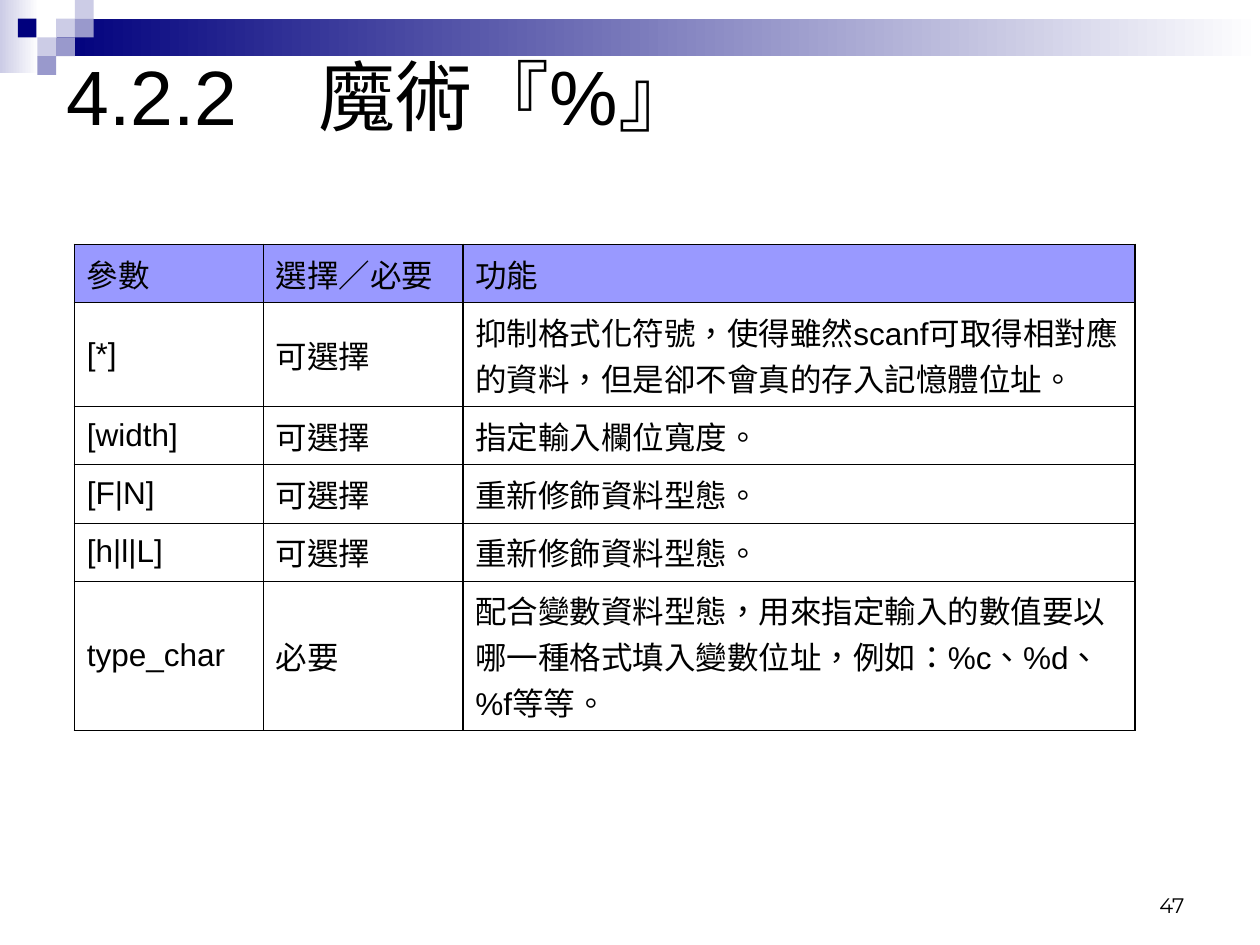
from lxml.etree import SubElement
from pptx import Presentation
from pptx.dml.color import RGBColor
from pptx.enum.shapes import MSO_SHAPE as Shape
from pptx.enum.text import MSO_ANCHOR as Anchor, PP_ALIGN as Align
from pptx.oxml.ns import qn
from pptx.util import Pt

BLACK, NAVY, LILAC, PALE = "000000", "00007D", "9999CC", "CCCCE6"
WHITE, HEADER = "FFFFFF", "9999FF"
THIN, THICK = 0.45, 1.08

ROWS = [
    ("參數", "選擇／必要", "功能"),
    ("[*]", "可選擇", "抑制格式化符號，使得雖然scanf可取得相對應的資料，但是卻不會真的存入記憶體位址。"),
    ("[width]", "可選擇", "指定輸入欄位寬度。"),
    ("[F|N]", "可選擇", "重新修飾資料型態。"),
    ("[h|l|L]", "可選擇", "重新修飾資料型態。"),
    ("type_char", "必要", "配合變數資料型態，用來指定輸入的數值要以哪一種格式填入變數位址，例如：%c、%d、%f等等。"),
]
COLUMN_WIDTHS = [108, 114, 384]
LINE_HEIGHT, CELL_PADDING = 26, 7.3
LINES_PER_ROW = [1, 2, 1, 1, 1, 3]
ROW_HEIGHTS = [lines * LINE_HEIGHT + CELL_PADDING for lines in LINES_PER_ROW]


def color(hex_text):
    return RGBColor.from_string(hex_text)


def format_runs(paragraph, size, font_name="Arial"):
    for run in paragraph.runs:
        run.font.size = Pt(size)
        run.font.name = font_name
        run.font.color.rgb = color(BLACK)
        run._r.get_or_add_rPr().set("lang", "zh-TW")


def add_rectangle(slide, left, top, width, height, *colors):
    """Draw a borderless rectangle; two colours fade from right to left."""
    shape = slide.shapes.add_shape(
        Shape.RECTANGLE, Pt(left), Pt(top), Pt(width), Pt(height))
    shape.shadow.inherit = False
    shape.line.fill.background()
    if len(colors) == 1:
        shape.fill.solid()
        shape.fill.fore_color.rgb = color(colors[0])
        return
    shape.fill.gradient()
    shape.fill.gradient_angle = 180
    for stop, stop_color in zip(shape.fill.gradient_stops, colors):
        stop.color.rgb = color(stop_color)


def add_banner(slide, left, top, width):
    square = 10.7
    add_rectangle(slide, left, top, 22.3, 41.8, WHITE, PALE)
    add_rectangle(slide, left + 32.4, top + square, width - 32.4, 21.3, WHITE, NAVY)
    squares = [(3, 1, PALE), (4, 0, PALE), (4, 1, LILAC), (2, 2, PALE),
               (0.95, 1, NAVY), (3, 2, LILAC), (2, 3, LILAC)]
    for column, row, fill in squares:
        add_rectangle(slide, left + column * square, top + row * square,
                      square, square, fill)


def add_text(slide, left, top, width, height, text, anchor):
    box = slide.shapes.add_textbox(Pt(left), Pt(top), Pt(width), Pt(height))
    frame = box.text_frame
    frame.word_wrap = True
    frame.vertical_anchor = anchor
    frame.text = text
    return frame.paragraphs[0]


def add_title(slide, left, top, width, height):
    paragraph = add_text(slide, left, top, width, height,
                         "4.2.2\t魔術『%』", Anchor.MIDDLE)
    tabs = SubElement(paragraph._p.get_or_add_pPr(), qn("a:tabLst"))
    SubElement(tabs, qn("a:tab"), pos=str(Pt(144)), algn="l")
    format_runs(paragraph, 44)


def add_page_number(slide, left, top, width, height):
    paragraph = add_text(slide, left, top, width, height, "47", Anchor.BOTTOM)
    paragraph.alignment = Align.RIGHT
    format_runs(paragraph, 12, "Montserrat")


def set_borders(cell, top, bottom):
    properties = cell._tc.get_or_add_tcPr()
    widths = {"lnL": THICK, "lnR": THICK, "lnT": top, "lnB": bottom}
    for side, width in widths.items():
        line = SubElement(properties, qn(f"a:{side}"), w=str(Pt(width)))
        fill = SubElement(line, qn("a:solidFill"))
        SubElement(fill, qn("a:srgbClr"), val=BLACK)


def add_parameter_table(slide, left, top):
    table = slide.shapes.add_table(
        len(ROWS), len(COLUMN_WIDTHS), Pt(left), Pt(top),
        Pt(sum(COLUMN_WIDTHS)), Pt(sum(ROW_HEIGHTS))).table
    table.first_row = table.horz_banding = False
    for column, width in zip(table.columns, COLUMN_WIDTHS):
        column.width = Pt(width)
    last = len(ROWS) - 1
    for index, (row, height, texts) in enumerate(zip(table.rows, ROW_HEIGHTS, ROWS)):
        row.height = Pt(height)
        for cell, text in zip(row.cells, texts):
            cell.text_frame.text = text
            cell.vertical_anchor = Anchor.MIDDLE
            format_runs(cell.text_frame.paragraphs[0], 18)
            set_borders(cell, THICK if index == 0 else THIN,
                        THICK if index == last else THIN)
            if index == 0:
                cell.fill.solid()
                cell.fill.fore_color.rgb = color(HEADER)
            else:
                cell.fill.background()


def main():
    presentation = Presentation()
    presentation.slide_width, presentation.slide_height = Pt(720), Pt(540)
    slide = presentation.slides.add_slide(presentation.slide_layouts[6])
    add_banner(slide, 0, 0, 720)
    add_title(slide, 31, 0, 648, 108)
    add_parameter_table(slide, 42.5, 139.7)
    add_page_number(slide, 516, 492, 168, 36)
    presentation.save("out.pptx")


if __name__ == "__main__":
    main()
